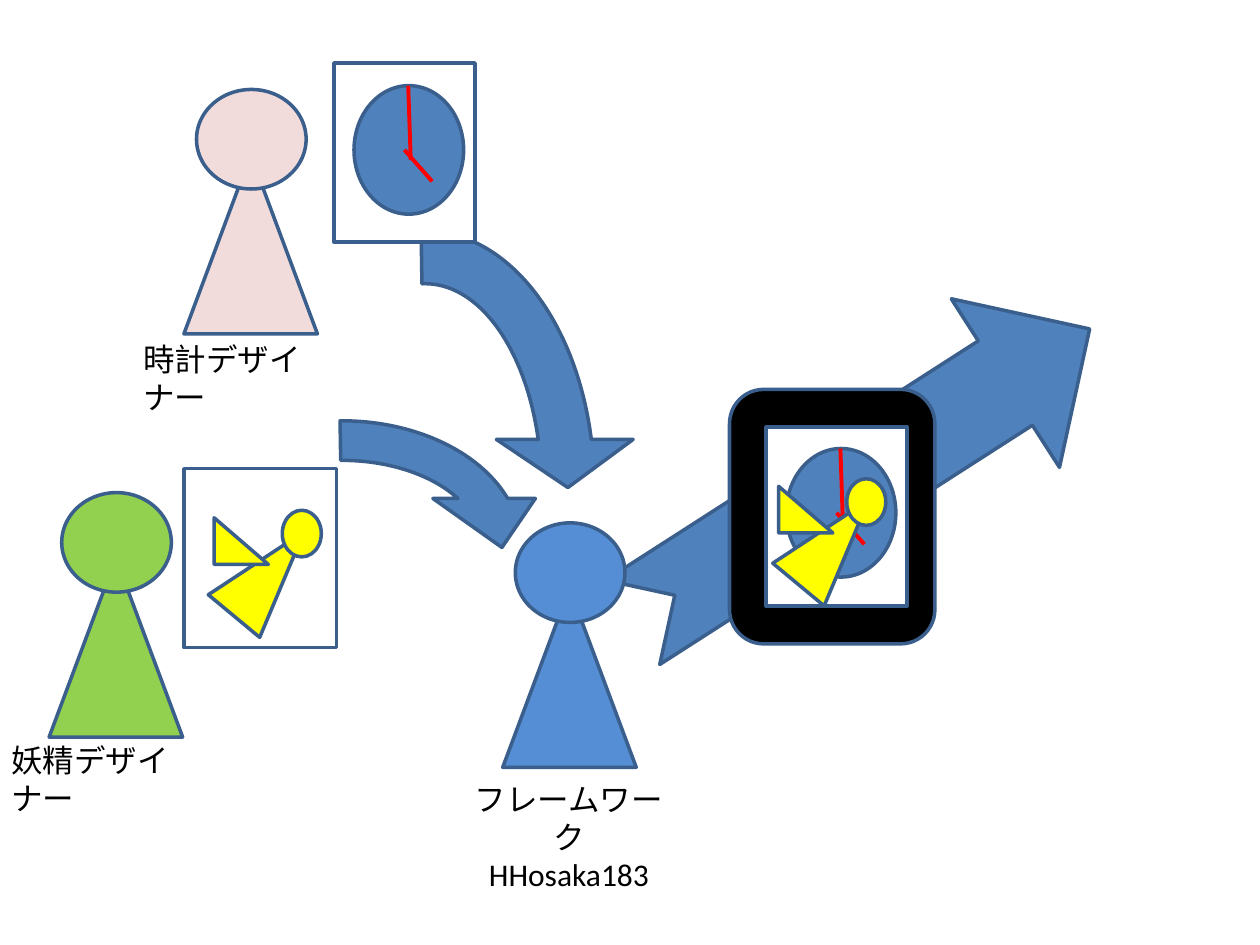
"""Build a slide on how clock and fairy designs are combined by a framework."""
from lxml.etree import SubElement
from pptx import Presentation
from pptx.dml.color import RGBColor
from pptx.enum.shapes import MSO_CONNECTOR, MSO_SHAPE
from pptx.enum.text import MSO_AUTO_SIZE, PP_ALIGN
from pptx.oxml.ns import qn
from pptx.util import Inches, Pt

THEME = {
    "blue": "4F81BD", "outline": "3A5F8C", "black": "000000", "white": "FFFFFF",
    "red": "FF0000", "green": "92D050", "sky": "558ED5", "pink": "F2DCDB",
    "yellow": "FFFF00", "font": "Calibri", "size": 18, "line": 2, "hand": 2.25,
}
PEOPLE = [
    {"at": (0.39, 4.43), "color": "green", "lines": ["妖精デザイナー"],
     "label": (-0.01, 5.83, 1.89, 0.4), "align": PP_ALIGN.LEFT},
    {"at": (3.99, 4.67), "color": "sky", "lines": ["フレームワーク", "HHosaka183"],
     "label": (3.62, 6.14, 1.79, 0.71), "align": PP_ALIGN.CENTER},
    {"at": (1.46, 1.23), "color": "pink", "lines": ["時計デザイナー"],
     "label": (1.04, 2.65, 1.89, 0.4), "align": PP_ALIGN.LEFT},
]
CURVED_ARROWS = [(1.7, 1.5, 3.35, 4.74), (1.04, 3.09, 3.35, 2.51)]
CURVE = (0.125, 11.423, 204.577, 161.447, 0.162)
HANDS = [(0.43, 0, 0.45, 0.59), (0.4, 0.51, 0.62, 0.76)]
DEVICE = (5.79, 3.09, 1.63, 2.02)
PANELS = {"screen": (6.08, 3.39, 1.12, 1.42), "fairy": (1.46, 3.72, 1.21, 1.42),
          "clock": (2.65, 0.5, 1.12, 1.42)}
CLOCKS = {"screen": (6.24, 3.56), "clock": (2.81, 0.68)}
FAIRIES = {"screen": (6.18, 3.8), "fairy": (1.7, 4.05)}


def rgb(name):
    return RGBColor.from_string(THEME[name])


def add_shape(s, kind, box, color, rotation=0, adjustments=()):
    sp = s.shapes.add_shape(kind, *map(Inches, box))
    sp.shadow.inherit = False
    sp.fill.solid()
    sp.fill.fore_color.rgb = rgb(color)
    sp.line.color.rgb = rgb("outline")
    sp.line.width = Pt(THEME["line"])
    sp.rotation = rotation
    for i, value in enumerate(adjustments):
        sp.adjustments[i] = value


def add_text(s, lines, box, align=PP_ALIGN.LEFT, color="black"):
    tf = s.shapes.add_textbox(*map(Inches, box)).text_frame
    tf.word_wrap = True
    tf.auto_size = MSO_AUTO_SIZE.SHAPE_TO_FIT_TEXT
    for i, line in enumerate(lines):
        p = tf.paragraphs[0] if i == 0 else tf.add_paragraph()
        p.alignment = align
        r = p.add_run()
        r.text = line
        r.font.name = THEME["font"]
        r.font.size = Pt(THEME["size"])
        r.font.color.rgb = rgb(color)


def add_person(s, at, color, lines, label, align):
    x, y = at
    add_shape(s, MSO_SHAPE.ISOSCELES_TRIANGLE, (x, y, 1.06, 1.42), color)
    add_shape(s, MSO_SHAPE.OVAL, (x + 0.1, y - 0.52, 0.87, 0.79), color)
    add_text(s, lines, label, align=align)


def add_clock(s, x, y):
    add_shape(s, MSO_SHAPE.OVAL, (x, y, 0.87, 1.02), "blue")
    for x1, y1, x2, y2 in HANDS:
        ends = (x + x1, y + y1, x + x2, y + y2)
        hand = s.shapes.add_connector(MSO_CONNECTOR.STRAIGHT, *map(Inches, ends))
        hand.line.color.rgb = rgb("red")
        hand.line.width = Pt(THEME["hand"])
        SubElement(hand._element.spPr, qn("a:effectLst"))


def add_fairy(s, x, y):
    add_shape(s, MSO_SHAPE.ISOSCELES_TRIANGLE, (x + 0.17, y + 0.07, 0.53, 0.87),
              "yellow", rotation=39.7)
    add_shape(s, MSO_SHAPE.OVAL, (x + 0.54, y, 0.31, 0.37), "yellow")
    add_shape(s, MSO_SHAPE.RIGHT_TRIANGLE, (x, y + 0.06, 0.43, 0.37), "yellow")


def main():
    prs = Presentation()
    prs.slide_width, prs.slide_height = Inches(10), Inches(7.5)
    s = prs.slides.add_slide(prs.slide_layouts[6])
    for box in CURVED_ARROWS:
        add_shape(s, MSO_SHAPE.CIRCULAR_ARROW, box, "blue", adjustments=CURVE)
    add_shape(s, MSO_SHAPE.NOTCHED_RIGHT_ARROW, (4.68, 2.98, 4.31, 1.59), "blue",
              rotation=327.3)
    add_shape(s, MSO_SHAPE.ROUNDED_RECTANGLE, DEVICE, "black")
    for person in PEOPLE:
        add_person(s, **person)
    for name, box in PANELS.items():
        add_shape(s, MSO_SHAPE.RECTANGLE, box, "white")
        if name in CLOCKS:
            add_clock(s, *CLOCKS[name])
        if name in FAIRIES:
            add_fairy(s, *FAIRIES[name])
    prs.save("out.pptx")


if __name__ == "__main__":
    main()
